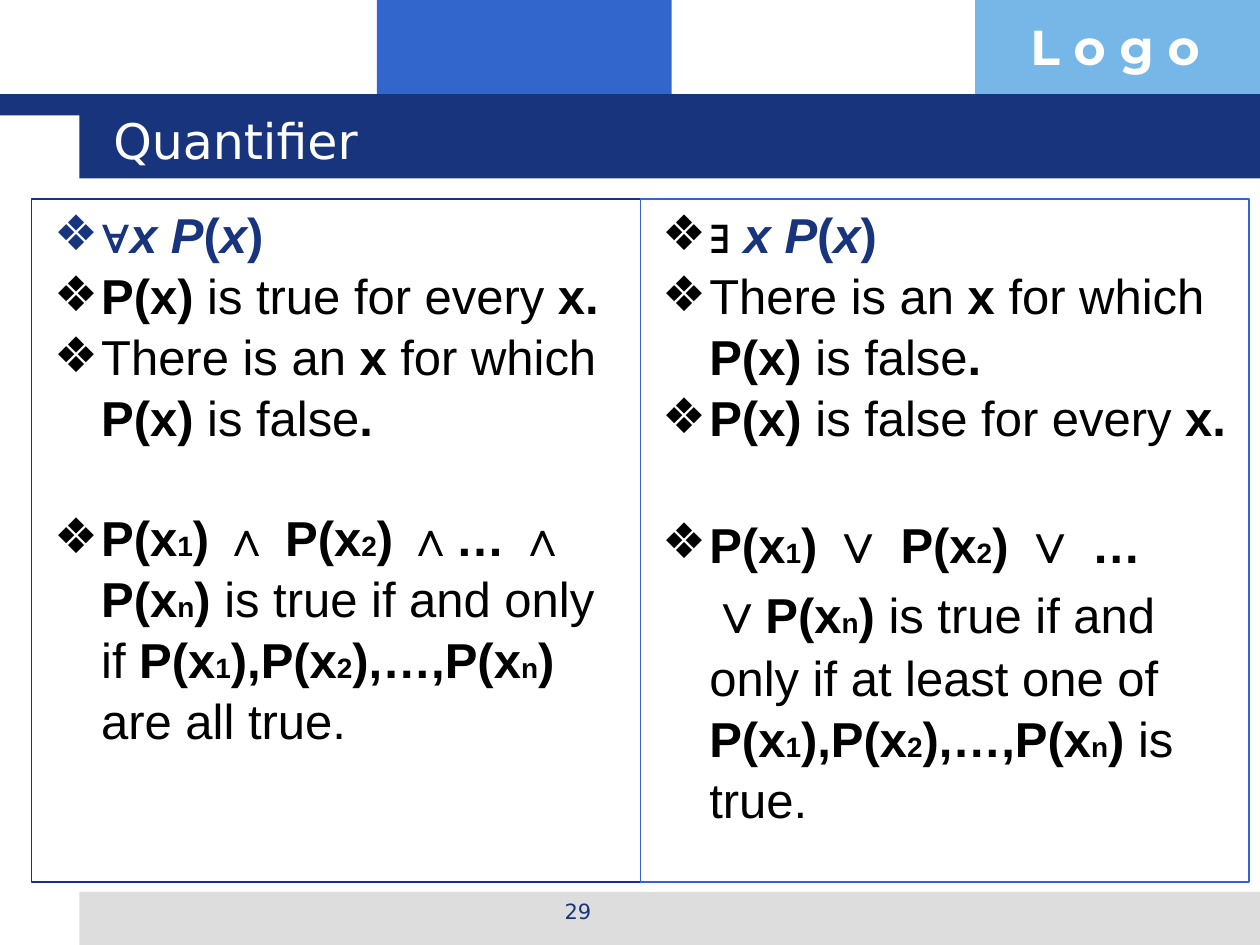
from lxml.etree import SubElement
from pptx import Presentation
from pptx.dml.color import RGBColor
from pptx.enum.shapes import MSO_SHAPE
from pptx.enum.text import MSO_ANCHOR, MSO_AUTO_SIZE, PP_ALIGN
from pptx.oxml.ns import qn
from pptx.util import Cm, Pt

NAVY = RGBColor(0x17, 0x34, 0x7D)
BLUE = RGBColor(0x33, 0x66, 0xCC)
SKY = RGBColor(0x77, 0xB7, 0xE7)
GREY = RGBColor(0xDD, 0xDD, 0xDD)
WHITE = RGBColor(0xFF, 0xFF, 0xFF)
BLACK = RGBColor(0, 0, 0)

BANDS = [
    (7.6, 0, 5.94, 2.34, BLUE),
    (19.66, 0, 5.74, 2.34, SKY),
    (1.6, 17.98, 23.8, 1.07, GREY),
    (0, 1.9, 25.4, 0.43, NAVY),
    (1.6, 1.9, 23.8, 1.7, NAVY),
]

RUN_STYLES = {
    "bold": {"bold": True},
    "plain": {"bold": False},
    "index": {"bold": True, "size": Pt(16)},
    "operator": {"bold": True, "size": Pt(32)},
    "formula": {"bold": True, "color": NAVY},
    "variable": {"bold": True, "italic": True, "color": NAVY},
}

PREDICATE = [("x P", "variable"), ("(", "formula"), ("x", "variable"), (")", "formula")]
SOME_FALSE = [("There is an", "plain"), (" x ", "bold"), ("for which", "plain"),
              (" P(x) ", "bold"), ("is false", "plain"), (".", "bold")]
TERM_LIST = [("P(x", "bold"), ("1", "index"), ("),P(x", "bold"), ("2", "index"),
             ("),…,P(x", "bold"), ("n", "index"), (") ", "bold")]

UNIVERSAL = [
    [("∀", "formula")] + PREDICATE,
    [("P(x) ", "bold"), ("is true for every", "plain"), (" x.", "bold")],
    SOME_FALSE,
    [("P(x", "bold"), ("1", "index"), (") ∧ P(x", "bold"), ("2", "index"),
     (") ∧… ∧ P(x", "bold"), ("n", "index"), (") ", "bold"),
     ("is true if and only if ", "plain")] + TERM_LIST + [("are all true.", "plain")],
]
EXISTENTIAL = [
    [("∃ ", "plain")] + PREDICATE,
    SOME_FALSE,
    [("P(x) ", "bold"), ("is false for every ", "plain"), ("x.", "bold")],
    [("P(x", "bold"), ("1", "index"), (") ", "bold"), ("∨", "operator"),
     (" P(x", "bold"), ("2", "index"), (") ", "bold"), ("∨", "operator"),
     (" … ", "bold"), ("∨", "operator"), ("P(x", "bold"), ("n", "index"),
     (") ", "bold"), ("is true if and only if at least one of ", "plain")]
    + TERM_LIST + [("is true.", "plain")],
]


class SlideBuilder:
    """Holds the text style and the slide being built."""

    body_font = "Arial"
    heading_font = "DejaVu Sans"
    body_size = Pt(28)
    indent = Cm(0.95)
    formula_gap = Pt(33.5)

    def __init__(self, slide):
        self.slide = slide

    def rectangle(self, left, top, width, height, fill=None, line=None):
        shape = self.slide.shapes.add_shape(
            MSO_SHAPE.RECTANGLE, Cm(left), Cm(top), Cm(width), Cm(height))
        shape.shadow.inherit = False
        if fill is None:
            shape.fill.background()
        else:
            shape.fill.solid()
            shape.fill.fore_color.rgb = fill
        if line is None:
            shape.line.fill.background()
        else:
            shape.line.color.rgb = line
            shape.line.width = Pt(0.75)

    def set_text(self, shape, text, font_name, size, color, bold=False, align=PP_ALIGN.LEFT):
        frame = shape.text_frame
        frame.word_wrap = True
        frame.auto_size = MSO_AUTO_SIZE.NONE
        frame.text = text
        paragraph = frame.paragraphs[0]
        paragraph.alignment = align
        font = paragraph.font
        font.name, font.size, font.bold = font_name, size, bold
        font.color.rgb = color

    def label(self, left, top, width, height, *args, **options):
        shape = self.slide.shapes.add_textbox(Cm(left), Cm(top), Cm(width), Cm(height))
        self.set_text(shape, *args, **options)

    def placeholder(self, index, left, top, width, height):
        shape = self.slide.placeholders[index]
        shape.left, shape.top, shape.width, shape.height = map(Cm, (left, top, width, height))
        shape.element.getparent().append(shape.element)
        return shape

    def title(self, text, *box):
        shape = self.placeholder(0, *box)
        self.set_text(shape, text, self.heading_font, Pt(28), WHITE)
        shape.text_frame.vertical_anchor = MSO_ANCHOR.MIDDLE

    def bullet(self, paragraph, color):
        properties = paragraph._p.get_or_add_pPr()
        properties.set("marL", str(self.indent))
        properties.set("indent", str(-self.indent))
        bullet_color = SubElement(properties, qn("a:buClr"))
        SubElement(bullet_color, qn("a:srgbClr"), val=str(color))
        SubElement(properties, qn("a:buChar"), char="❖")

    def bullet_list(self, index, items, first_color, *box):
        frame = self.placeholder(index, *box).text_frame
        frame.word_wrap = True
        frame.auto_size = MSO_AUTO_SIZE.NONE
        frame.margin_left = Cm(0.45)
        frame.margin_right = Cm(0.15)
        for position, item in enumerate(items):
            paragraph = frame.add_paragraph() if position else frame.paragraphs[0]
            last = position == len(items) - 1
            paragraph.space_before = self.formula_gap if last else Pt(0)
            paragraph.line_spacing = 1.04
            self.bullet(paragraph, BLACK if position else first_color)
            paragraph.font.name = self.body_font
            paragraph.font.size = self.body_size
            for text, style in item:
                self.run(paragraph, text, **RUN_STYLES[style])

    def run(self, paragraph, text, bold, italic=False, size=None, color=BLACK):
        run = paragraph.add_run()
        run.text = text
        run.font.bold, run.font.italic, run.font.size = bold, italic, size
        run.font.color.rgb = color


def main():
    presentation = Presentation()
    presentation.slide_width, presentation.slide_height = Cm(25.4), Cm(19.05)
    builder = SlideBuilder(presentation.slides.add_slide(presentation.slide_layouts[3]))
    for band in BANDS:
        builder.rectangle(*band)
    builder.label(20.52, 0.2, 4.88, 1.45, "L o g o", "Montserrat", Pt(28), WHITE, bold=True)
    builder.label(8.69, 17.98, 5.92, 0.89, "29", builder.heading_font, Pt(12), NAVY,
                  align=PP_ALIGN.CENTER)
    builder.title("Quantifier", 2.03, 2.03, 21.67, 1.57)
    builder.bullet_list(1, UNIVERSAL, NAVY, 0.64, 3.94, 11.86, 13.56)
    builder.bullet_list(2, EXISTENTIAL, BLACK, 12.9, 3.94, 12.5, 13.56)
    for left, color in ((0.64, NAVY), (12.91, BLUE)):
        builder.rectangle(left, 4.01, 12.27, 13.77, line=color)
    presentation.save("out.pptx")


if __name__ == "__main__":
    main()
